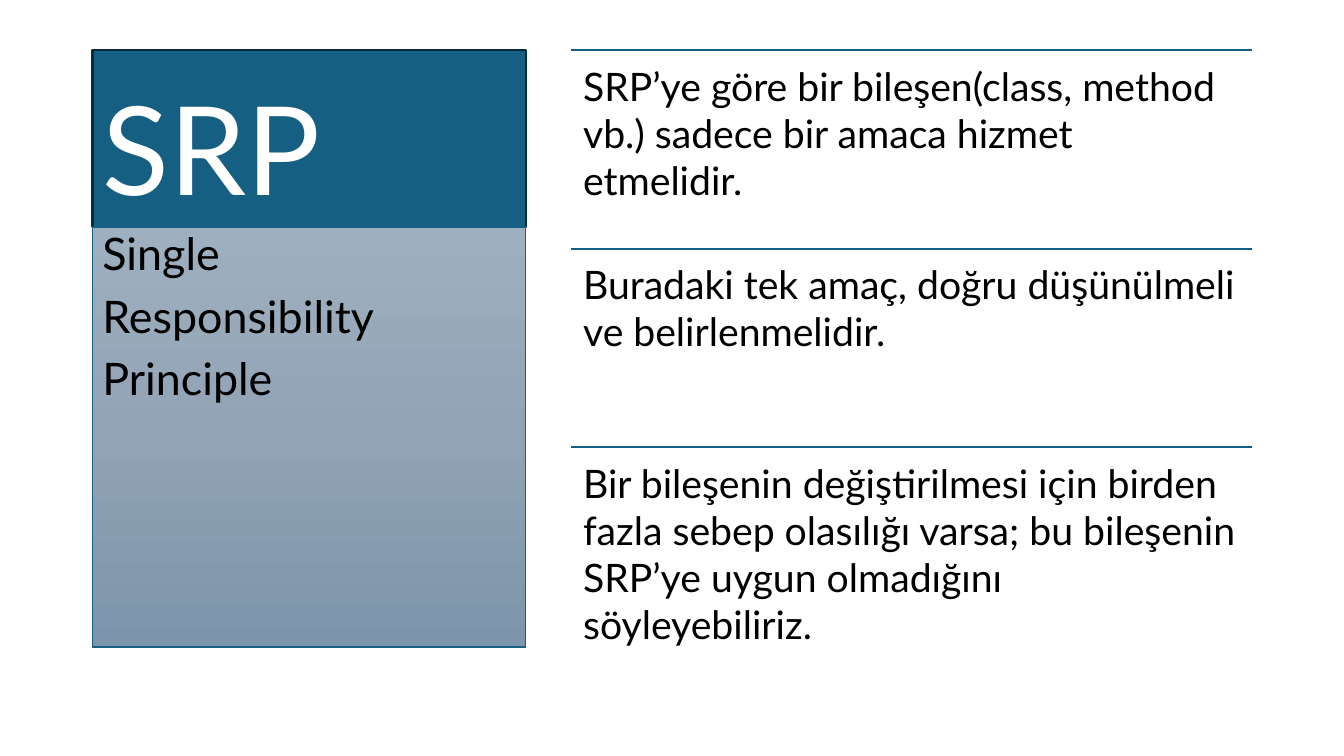
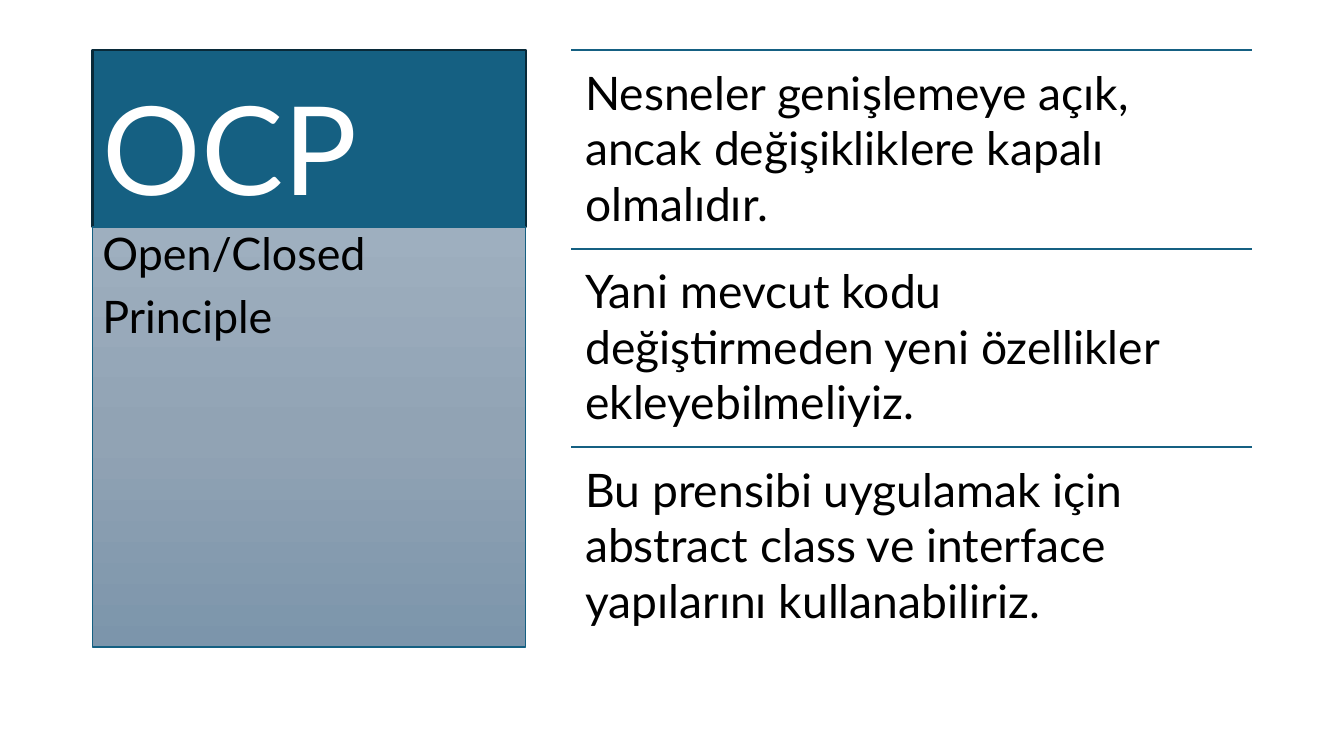
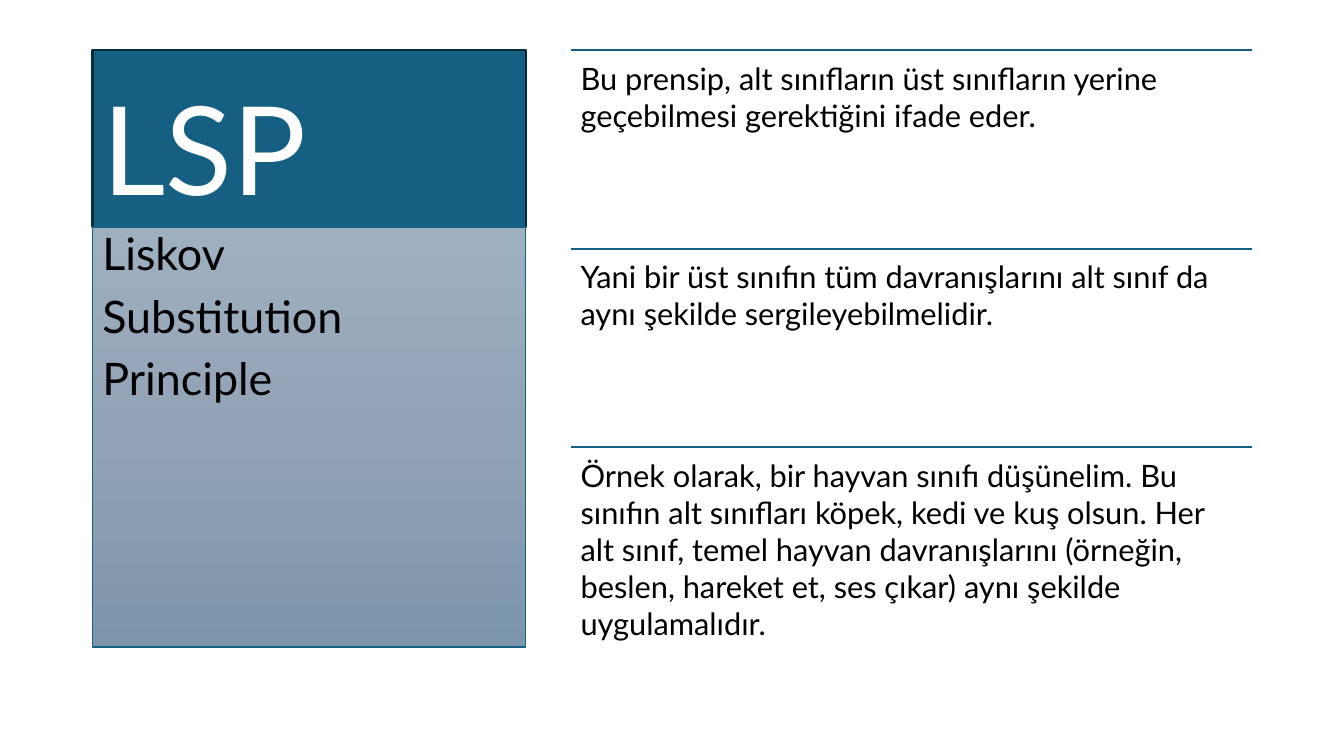
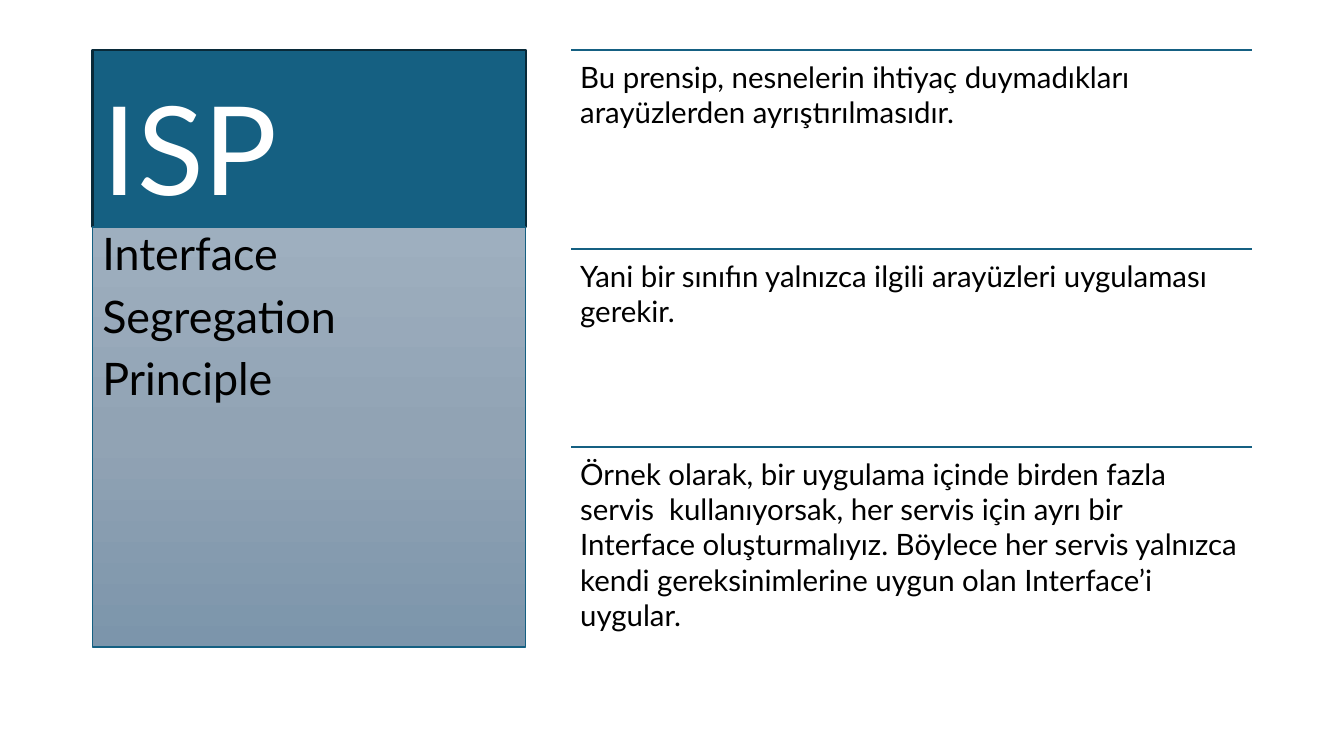
"""Build four slides that explain the first SOLID principles."""
from copy import deepcopy
from dataclasses import dataclass

from pptx import Presentation
from pptx.dml.color import RGBColor
from pptx.enum.shapes import MSO_CONNECTOR as Connector, MSO_SHAPE as Preset
from pptx.enum.text import MSO_ANCHOR as Anchor, MSO_AUTO_SIZE as AutoSize, PP_ALIGN as Align
from pptx.oxml.ns import qn
from pptx.oxml.xmlchemy import OxmlElement
from pptx.shapes.autoshape import Shape
from pptx.slide import Slide
from pptx.text.text import TextFrame
from pptx.util import Cm, Pt

WHITE = RGBColor(0xFF, 0xFF, 0xFF)
BLACK = RGBColor(0x00, 0x00, 0x00)
TEAL = RGBColor(0x15, 0x60, 0x82)
DARK_TEAL = RGBColor(0x09, 0x2A, 0x39)
PANEL_GRADIENT = (
    RGBColor(0x9E, 0xAF, 0xBF),
    RGBColor(0x91, 0xA3, 0xB4),
    RGBColor(0x7C, 0x95, 0xAB),
)
FONT = "Lato"
TITLE_ONLY = 5

TOP = Cm(1.27)
PANEL_LEFT, PANEL_WIDTH = Cm(2.33), Cm(10.92)
TITLE_HEIGHT, NAME_HEIGHT = Cm(4.45), Cm(10.59)
LIST_LEFT, LIST_WIDTH, ROW_HEIGHT = Cm(14.4), Cm(17.15), Cm(5)
INSET_PER_POINT = 0.3


@dataclass(frozen=True)
class Principle:
    """A principle with its initials, full name and explanation."""

    initials: str
    words: tuple[str, ...]
    text_size: int
    statements: tuple[str, ...]


PRINCIPLES = (
    Principle("SRP", ("Single", "Responsibility", "Principle"), 28, (
        "SRP’ye göre bir bileşen(class, method vb.) sadece bir amaca hizmet etmelidir.",
        "Buradaki tek amaç, doğru düşünülmeli ve belirlenmelidir.",
        "Bir bileşenin değiştirilmesi için birden fazla sebep olasılığı varsa; "
        "bu bileşenin SRP’ye uygun olmadığını söyleyebiliriz.",
    )),
    Principle("OCP", ("Open/Closed", "Principle"), 33, (
        "Nesneler genişlemeye açık, ancak değişikliklere kapalı olmalıdır.",
        "Yani mevcut kodu değiştirmeden yeni özellikler ekleyebilmeliyiz.",
        "Bu prensibi uygulamak için abstract class ve interface yapılarını kullanabiliriz.",
    )),
    Principle("LSP", ("Liskov", "Substitution", "Principle"), 22, (
        "Bu prensip, alt sınıfların üst sınıfların yerine geçebilmesi gerektiğini ifade eder.",
        "Yani bir üst sınıfın tüm davranışlarını alt sınıf da aynı şekilde sergileyebilmelidir.",
        "Örnek olarak, bir hayvan sınıfı düşünelim. Bu sınıfın alt sınıfları köpek, kedi ve "
        "kuş olsun. Her alt sınıf, temel hayvan davranışlarını (örneğin, beslen, hareket et, "
        "ses çıkar) aynı şekilde uygulamalıdır.",
    )),
    Principle("ISP", ("Interface", "Segregation", "Principle"), 21, (
        "Bu prensip, nesnelerin ihtiyaç duymadıkları arayüzlerden ayrıştırılmasıdır.",
        "Yani bir sınıfın yalnızca ilgili arayüzleri uygulaması gerekir.",
        "Örnek olarak, bir uygulama içinde birden fazla servis  kullanıyorsak, her servis için "
        "ayrı bir Interface oluşturmalıyız. Böylece her servis yalnızca kendi gereksinimlerine "
        "uygun olan Interface’i uygular.",
    )),
)


def write(frame: TextFrame, text: str, size: int, color: RGBColor, anchor: Anchor = Anchor.TOP,
          line_spacing: float = 1.0, space_before: int = 0) -> None:
    """Fill a text frame with left-aligned paragraphs of one style."""
    frame.text = text
    frame.word_wrap = True
    frame.auto_size = AutoSize.NONE
    frame.vertical_anchor = anchor
    for para in frame.paragraphs:
        para.alignment = Align.LEFT
        para.line_spacing = line_spacing
        para.space_before = Pt(space_before)
        para.font.name = FONT
        para.font.size = Pt(size)
        para.font.color.rgb = color


def outline(shape: Shape, color: RGBColor, width: float) -> None:
    """Give a shape a solid outline."""
    shape.line.color.rgb = color
    shape.line.width = Pt(width)


def fill_gradient(shape: Shape, colors: tuple[RGBColor, ...]) -> None:
    """Fill a shape from top to bottom with evenly spaced colours."""
    shape.fill.gradient()
    shape.fill.gradient_angle = 270
    stop_list = next(shape.element.iter(qn("a:gsLst")))
    for _ in colors[2:]:
        stop_list.insert(1, deepcopy(stop_list[0]))
    for index, (stop, color) in enumerate(zip(shape.fill.gradient_stops, colors)):
        stop.position = index / (len(colors) - 1)
        stop.color.rgb = color


def format_title(page: Slide, initials: str) -> None:
    """Turn the title placeholder into the head of the left panel."""
    title = page.shapes.title
    title.left, title.top, title.width, title.height = PANEL_LEFT, TOP, PANEL_WIDTH, TITLE_HEIGHT
    title.fill.solid()
    title.fill.fore_color.rgb = TEAL
    outline(title, DARK_TEAL, 1.5)
    write(title.text_frame, initials, 88, WHITE, Anchor.BOTTOM, line_spacing=0.9)


def add_statements(page: Slide, principle: Principle) -> None:
    """Add the ruled rows of explanation at the right."""
    group = page.shapes.add_group_shape()
    inset = Pt(principle.text_size * INSET_PER_POINT)
    for row, statement in enumerate(principle.statements):
        top = TOP + row * ROW_HEIGHT
        rule = group.shapes.add_connector(
            Connector.STRAIGHT, LIST_LEFT, top, LIST_LEFT + LIST_WIDTH, top)
        rule.line.color.rgb = TEAL
        rule.line.width = Pt(1.5)
        rule.element.spPr.append(OxmlElement("a:effectLst"))
        box = group.shapes.add_textbox(LIST_LEFT, top, LIST_WIDTH, ROW_HEIGHT)
        frame = box.text_frame
        frame.margin_left = frame.margin_top = frame.margin_right = frame.margin_bottom = inset
        write(frame, statement, principle.text_size, BLACK)


def add_name_panel(page: Slide, words: tuple[str, ...]) -> None:
    """Add the gradient panel that spells out the initials."""
    panel = page.shapes.add_shape(
        Preset.RECTANGLE, PANEL_LEFT, TOP + TITLE_HEIGHT, PANEL_WIDTH, NAME_HEIGHT)
    panel.shadow.inherit = False
    fill_gradient(panel, PANEL_GRADIENT)
    outline(panel, TEAL, 1)
    write(panel.text_frame, "\n".join(words), 32, BLACK, line_spacing=0.9, space_before=10)


def main() -> None:
    """Build and save the deck."""
    deck = Presentation()
    deck.slide_width, deck.slide_height = Cm(33.87), Cm(19.05)
    for principle in PRINCIPLES:
        page = deck.slides.add_slide(deck.slide_layouts[TITLE_ONLY])
        format_title(page, principle.initials)
        add_statements(page, principle)
        add_name_panel(page, principle.words)
    deck.save("out.pptx")


if __name__ == "__main__":
    main()
